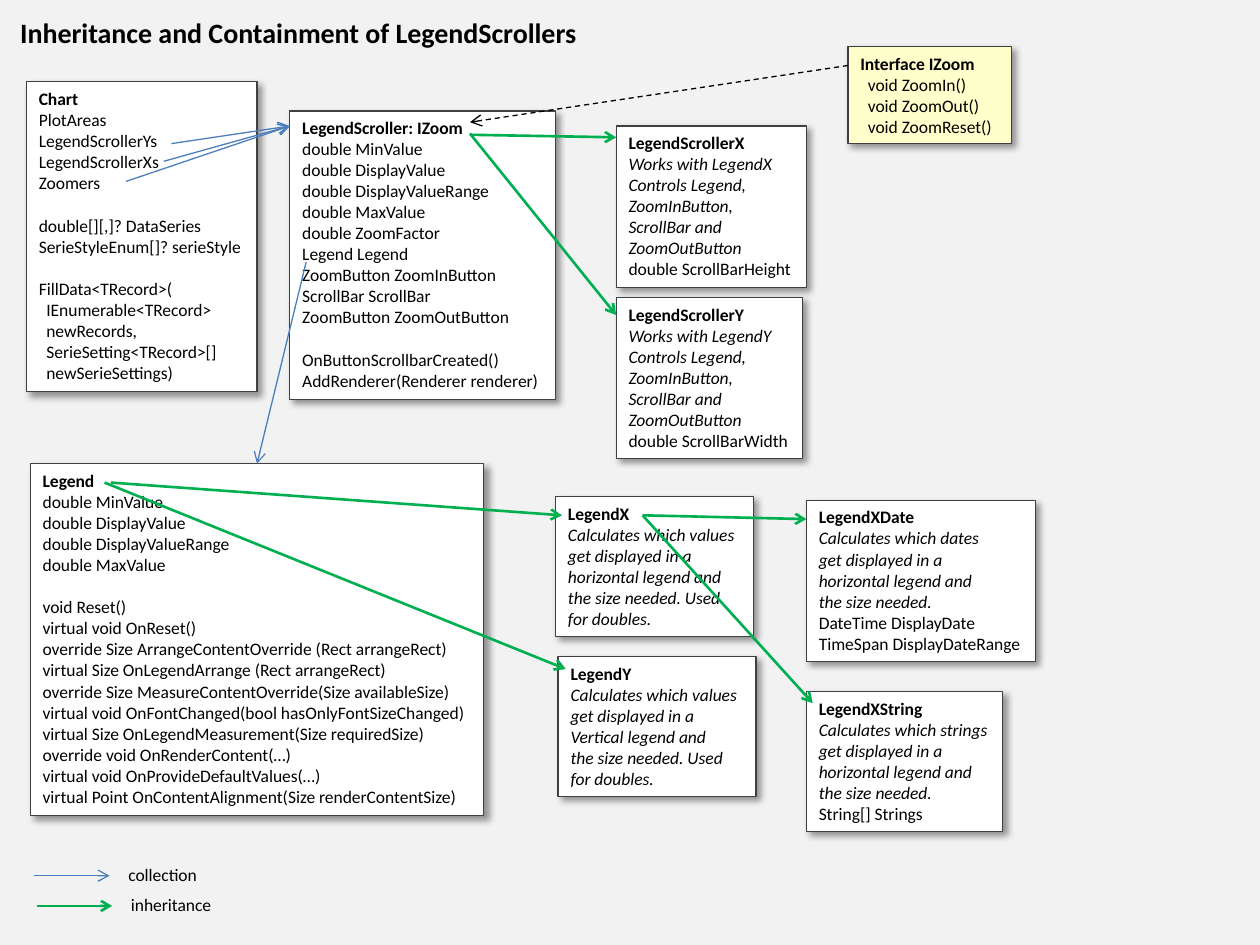
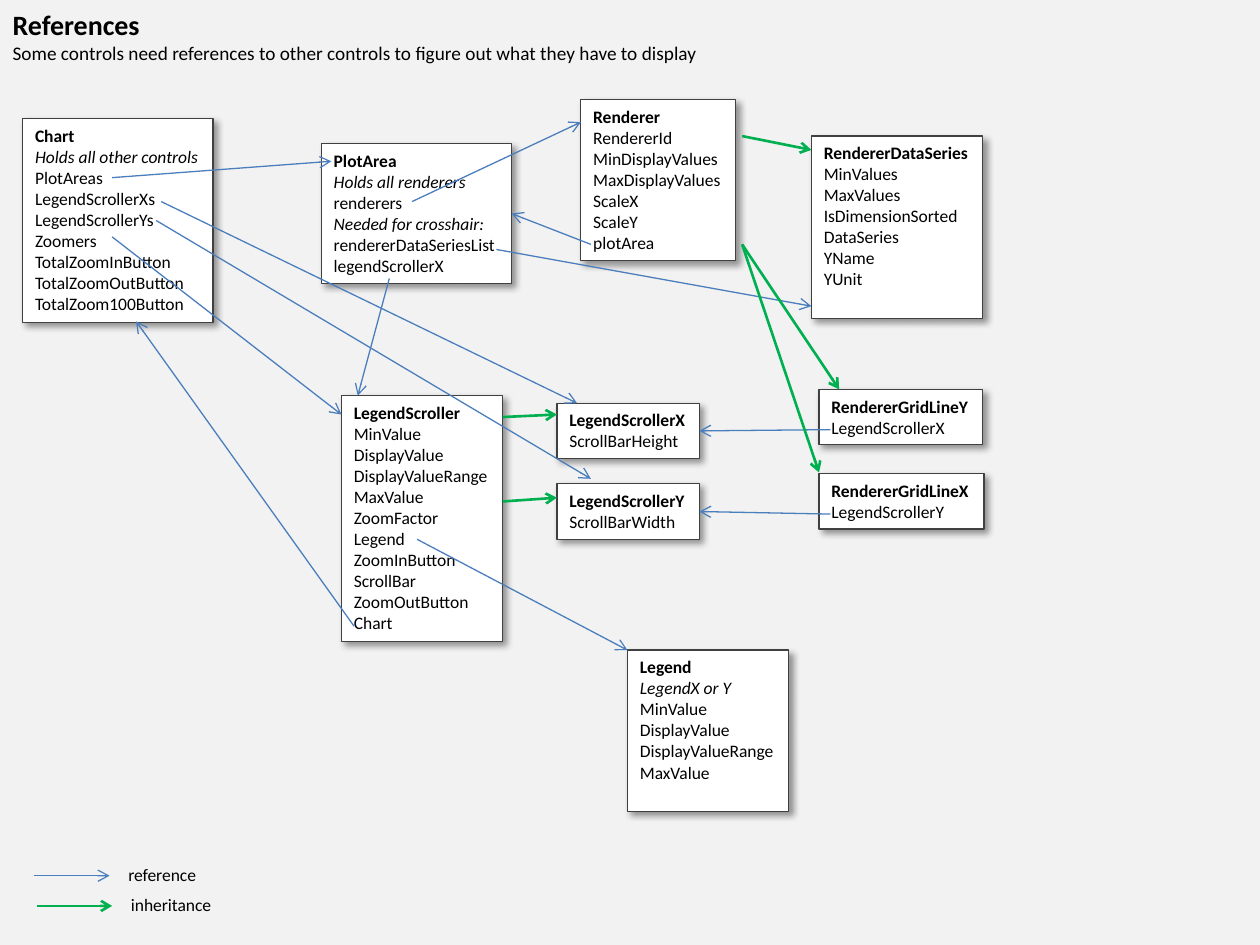
from dataclasses import dataclass

from lxml import etree
from pptx import Presentation
from pptx import util as u
from pptx.dml.color import RGBColor
from pptx.enum import dml, shapes, text
from pptx.oxml import parse_xml
from pptx.oxml.ns import nsdecls, qn


@dataclass(frozen=True)
class Theme:
    font: str = "Calibri"
    title: int = 16
    subtitle: int = 11
    body: int = 10
    line_gap: float = 12.2
    indent: float = 0.06
    ink: RGBColor = RGBColor(0, 0, 0)
    page: RGBColor = RGBColor(0xF2, 0xF2, 0xF2)
    card: RGBColor = RGBColor(0xFF, 0xFF, 0xFF)
    interface: RGBColor = RGBColor(0xFF, 0xFF, 0xCC)
    border: RGBColor = RGBColor(0x40, 0x40, 0x40)
    reference: RGBColor = RGBColor(0x4B, 0x7E, 0xBC)
    inheritance: RGBColor = RGBColor(0, 0xB0, 0x50)


T = Theme()
ARROWS = {
    "ref": (T.reference, 0.75, None),
    "inh": (T.inheritance, 1.5, None),
    "use": (T.ink, 0.75, dml.MSO_LINE.DASH),
}
SHADOW = (
    f'<a:outerShdw {nsdecls("a")} blurRad="50800" dist="38100" dir="2700000" algn="tl" rotWithShape="0">'
    '<a:srgbClr val="000000"><a:alpha val="40000"/></a:srgbClr></a:outerShdw>'
)


def write(tf, lines, size=T.body):
    # "/" italic, ">" indented, "^" one line of space above, "*" bold
    tf.word_wrap = True
    tf.auto_size = text.MSO_AUTO_SIZE.NONE
    tf.vertical_anchor = text.MSO_ANCHOR.TOP
    tf.margin_right = 0
    for i, line in enumerate(lines):
        p = tf.paragraphs[0] if i == 0 else tf.add_paragraph()
        mark = line[0] if line[0] in "/>^*" else ""
        p.text = line[len(mark):]
        p.alignment = text.PP_ALIGN.LEFT
        p.font.name = T.font
        p.font.size = u.Pt(size if i == 0 or size == T.body else T.subtitle)
        p.font.color.rgb = T.ink
        p.font.bold = mark == "*"
        p.font.italic = mark == "/"
        if mark == "^":
            p.space_before = u.Pt(T.line_gap)
        if mark == ">":
            p._p.get_or_add_pPr().set("marL", str(u.Inches(T.indent)))


def arrow(s, kind, x1, y1, x2, y2):
    color, width, dash = ARROWS[kind]
    c = s.shapes.add_connector(shapes.MSO_CONNECTOR.STRAIGHT, *map(u.Inches, (x1, y1, x2, y2)))
    c.line.color.rgb = color
    c.line.width = u.Pt(width)
    if dash:
        c.line.dash_style = dash
    etree.SubElement(c.line._get_or_add_ln(), qn("a:tailEnd"), type="arrow")
    etree.SubElement(c._element.spPr, qn("a:effectLst"))
    return c


SCROLLER_NOTE = ["/Controls Legend,", "/ZoomInButton,", "/ScrollBar and", "/ZoomOutButton"]
VALUES = ["MinValue", "DisplayValue", "DisplayValueRange", "MaxValue"]
DOUBLES = [f"double {v}" for v in VALUES]

SLIDES = [
    {
        "title": ["*Inheritance and Containment of LegendScrollers"],
        "at": (0.06, 0.07),
        "key": "collection",
        "boxes": [
            ("Chart", 0.21, 0.65, 1.83, 2.46, [
                "PlotAreas", "LegendScrollerYs", "LegendScrollerXs", "Zoomers",
                "^double[][,]? DataSeries", "SerieStyleEnum[]? serieStyle",
                "^FillData<TRecord>(", ">IEnumerable<TRecord>", ">newRecords,",
                ">SerieSetting<TRecord>[]", ">newSerieSettings)"]),
            ("LegendScroller: IZoom", 2.3, 0.88, 2.11, 2.29, DOUBLES + [
                "double ZoomFactor", "Legend Legend", "ZoomButton ZoomInButton",
                "ScrollBar ScrollBar", "ZoomButton ZoomOutButton",
                "^OnButtonScrollbarCreated()", "AddRenderer(Renderer renderer)"]),
            ("LegendScrollerX", 4.89, 1, 1.51, 1.28,
             ["/Works with LegendX"] + SCROLLER_NOTE + ["double ScrollBarHeight"]),
            ("LegendScrollerY", 4.89, 2.36, 1.48, 1.28,
             ["/Works with LegendY"] + SCROLLER_NOTE + ["double ScrollBarWidth"]),
            ("Legend", 0.24, 3.68, 3.6, 2.79, DOUBLES + [
                "^void Reset()", "virtual void OnReset()",
                "override Size ArrangeContentOverride (Rect arrangeRect)",
                "virtual Size OnLegendArrange (Rect arrangeRect)",
                "override Size MeasureContentOverride(Size availableSize)",
                "virtual void OnFontChanged(bool hasOnlyFontSizeChanged)",
                "virtual Size OnLegendMeasurement(Size requiredSize)",
                "override void OnRenderContent(…)",
                "virtual void OnProvideDefaultValues(…)",
                "virtual Point OnContentAlignment(Size renderContentSize)"]),
            ("LegendX", 4.41, 3.94, 1.57, 1.11, [
                "/Calculates which values", "/get displayed in a", "/horizontal legend and",
                "/the size needed. Used", "/for doubles."]),
            ("LegendY", 4.43, 5.21, 1.57, 1.11, [
                "/Calculates which values", "/get displayed in a", "/Vertical legend and",
                "/the size needed. Used", "/for doubles."]),
            ("LegendXDate", 6.4, 3.97, 1.82, 1.28, [
                "/Calculates which dates", "/get displayed in a", "/horizontal legend and",
                "/the size needed.", "DateTime DisplayDate", "TimeSpan DisplayDateRange"]),
            ("LegendXString", 6.4, 5.49, 1.56, 1.11, [
                "/Calculates which strings", "/get displayed in a", "/horizontal legend and",
                "/the size needed.", "String[] Strings"]),
            ("Interface IZoom", 6.73, 0.37, 1.3, 0.77,
             [">void ZoomIn()", ">void ZoomOut()", ">void ZoomReset()"]),
        ],
        "arrows": [
            ("ref", 1.36, 1.14, 2.3, 1),
            ("ref", 1.3, 1.28, 2.3, 1),
            ("ref", 1, 1.44, 2.3, 1),
            ("ref", 2.43, 2.08, 2.04, 3.68, "Legend", 0),
            ("inh", 3.73, 1.07, 4.89, 1.09),
            ("inh", 3.73, 1.06, 4.89, 2.5),
            ("inh", 0.88, 3.83, 4.46, 4.09),
            ("inh", 0.83, 3.83, 4.49, 5.31),
            ("inh", 5.1, 4.09, 6.4, 4.12),
            ("inh", 5.1, 4.09, 6.45, 5.58),
            ("use", 6.73, 0.52, 3.73, 0.97),
        ],
    },
    {
        "title": ["*References",
                  "Some controls need references to other controls to figure out what they have to display"],
        "at": (0, 0.01),
        "key": "reference",
        "boxes": [
            ("Chart", 0.18, 0.94, 1.51, 1.62, [
                "/Holds all other controls", "PlotAreas", "LegendScrollerXs", "LegendScrollerYs",
                "Zoomers", "TotalZoomInButton", "TotalZoomOutButton", "TotalZoom100Button"]),
            ("PlotArea", 2.55, 1.14, 1.51, 1.11, [
                "/Holds all renderers", "renderers", "/Needed for crosshair:",
                "rendererDataSeriesList", "legendScrollerX"]),
            ("RendererDataSeries", 6.44, 1.08, 1.36, 1.45, [
                "MinValues", "MaxValues", "IsDimensionSorted", "DataSeries", "YName", "YUnit"]),
            ("LegendScroller", 2.71, 3.14, 1.28, 1.95, VALUES + [
                "ZoomFactor", "Legend", "ZoomInButton", "ScrollBar", "ZoomOutButton", "Chart"]),
            ("Legend", 4.98, 5.16, 1.28, 1.28, ["/LegendX or Y"] + VALUES),
            ("Renderer", 4.61, 0.79, 1.23, 1.28, [
                "RendererId", "MinDisplayValues", "MaxDisplayValues", "ScaleX", "ScaleY", "plotArea"]),
            ("LegendScrollerX", 4.42, 3.2, 1.13, 0.44, ["ScrollBarHeight"]),
            ("LegendScrollerY", 4.42, 3.84, 1.13, 0.44, ["ScrollBarWidth"]),
            ("RendererGridLineX", 6.5, 3.76, 1.31, 0.44, ["LegendScrollerY"]),
            ("RendererGridLineY", 6.5, 3.09, 1.3, 0.44, ["LegendScrollerX"]),
        ],
        "arrows": [
            ("ref", 0.89, 1.41, 2.63, 1.28),
            ("ref", 1.28, 1.6, 4.58, 3.2),
            ("ref", 1.24, 1.75, 4.69, 3.8),
            ("ref", 0.89, 1.88, 2.71, 3.29),
            ("ref", 3.31, 4.28, 4.98, 5.16),
            ("ref", 3.94, 1.98, 6.44, 2.43),
            ("ref", 3.09, 2.21, 2.84, 3.14),
            ("ref", 3.27, 1.6, 4.61, 0.97),
            ("ref", 2.81, 4.97, 1.08, 2.55),
            ("ref", 4.69, 1.94, 4.06, 1.69, "PlotArea", 3),
            ("ref", 6.59, 3.41, 5.55, 3.41, "LegendScrollerX", 3),
            ("ref", 6.59, 4.08, 5.55, 4.05, "LegendScrollerY", 3),
            ("inh", 5.89, 1.08, 6.44, 1.19),
            ("inh", 5.89, 1.94, 6.5, 3.75),
            ("inh", 5.89, 1.94, 6.66, 3.09),
            ("inh", 3.99, 3.31, 4.42, 3.29),
            ("inh", 3.99, 3.98, 4.42, 3.95),
        ],
    },
]

prs = Presentation()
prs.slide_width, prs.slide_height = u.Inches(10), u.Inches(7.5)
bg = prs.slide_master.background.fill
bg.solid()
bg.fore_color.rgb = T.page

for page in SLIDES:
    s = prs.slides.add_slide(prs.slide_layouts[5])
    title = s.shapes.title
    title.left, title.top = map(u.Inches, page["at"])
    title.width, title.height = u.Inches(5.7), u.Inches(0.56)
    write(title.text_frame, page["title"], T.title)

    boxes = {}
    for name, x, y, w, h, members in page["boxes"]:
        sp = s.shapes.add_shape(shapes.MSO_SHAPE.RECTANGLE, *map(u.Inches, (x, y, w, h)))
        sp.fill.solid()
        sp.fill.fore_color.rgb = T.interface if name.startswith("Interface") else T.card
        sp.line.color.rgb = T.border
        sp.line.width = u.Pt(0.75)
        sp.shadow.inherit = False
        sp._element.spPr.find(qn("a:effectLst")).append(parse_xml(SHADOW))
        write(sp.text_frame, ["*" + name] + members)
        boxes[name] = sp

    for kind, x1, y1, x2, y2, *joint in page["arrows"]:
        c = arrow(s, kind, x1, y1, x2, y2)
        if joint:
            c.end_connect(boxes[joint[0]], joint[1])

    for kind, label, x, y in (("ref", page["key"], 0.27, 6.95), ("inh", "inheritance", 0.29, 7.19)):
        arrow(s, kind, x, y, x + 0.6, y)
        tb = s.shapes.add_textbox(*map(u.Inches, (x + 0.65, y - 0.14, 0.85, 0.27)))
        write(tb.text_frame, [label])

prs.save("out.pptx")
